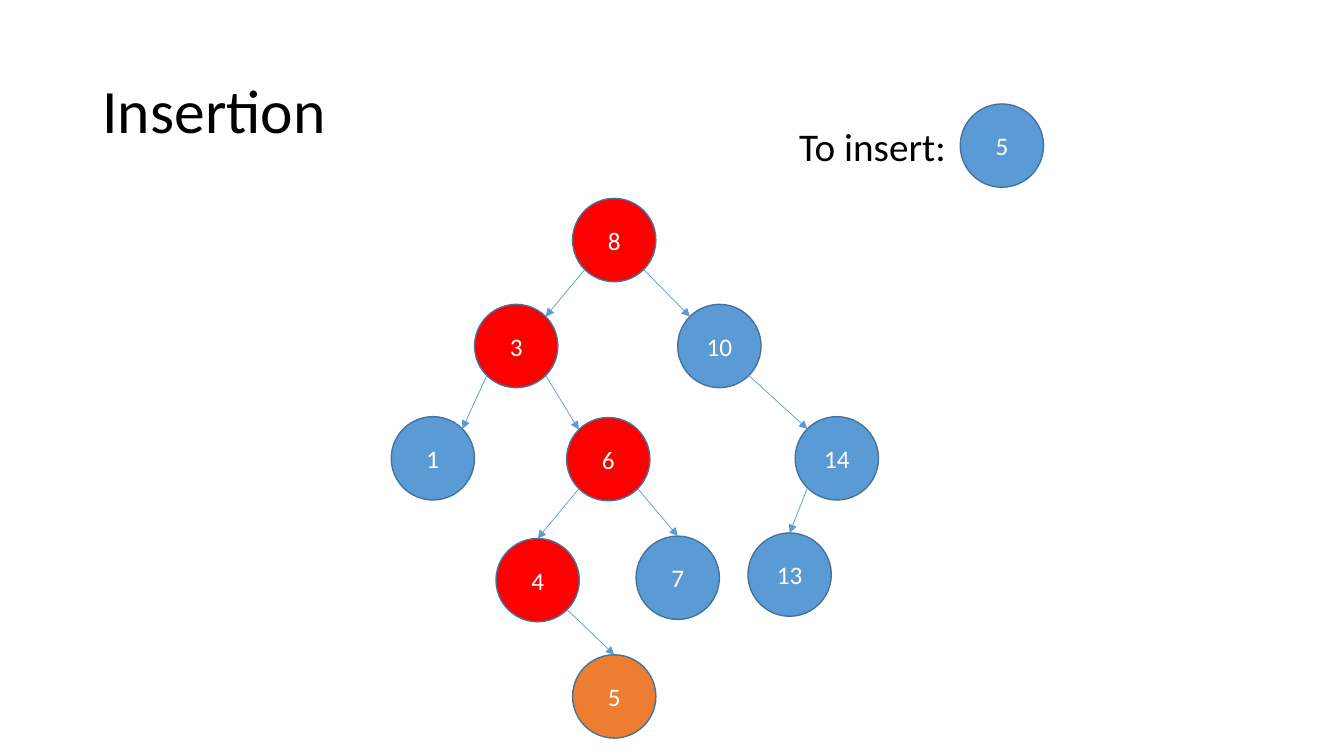
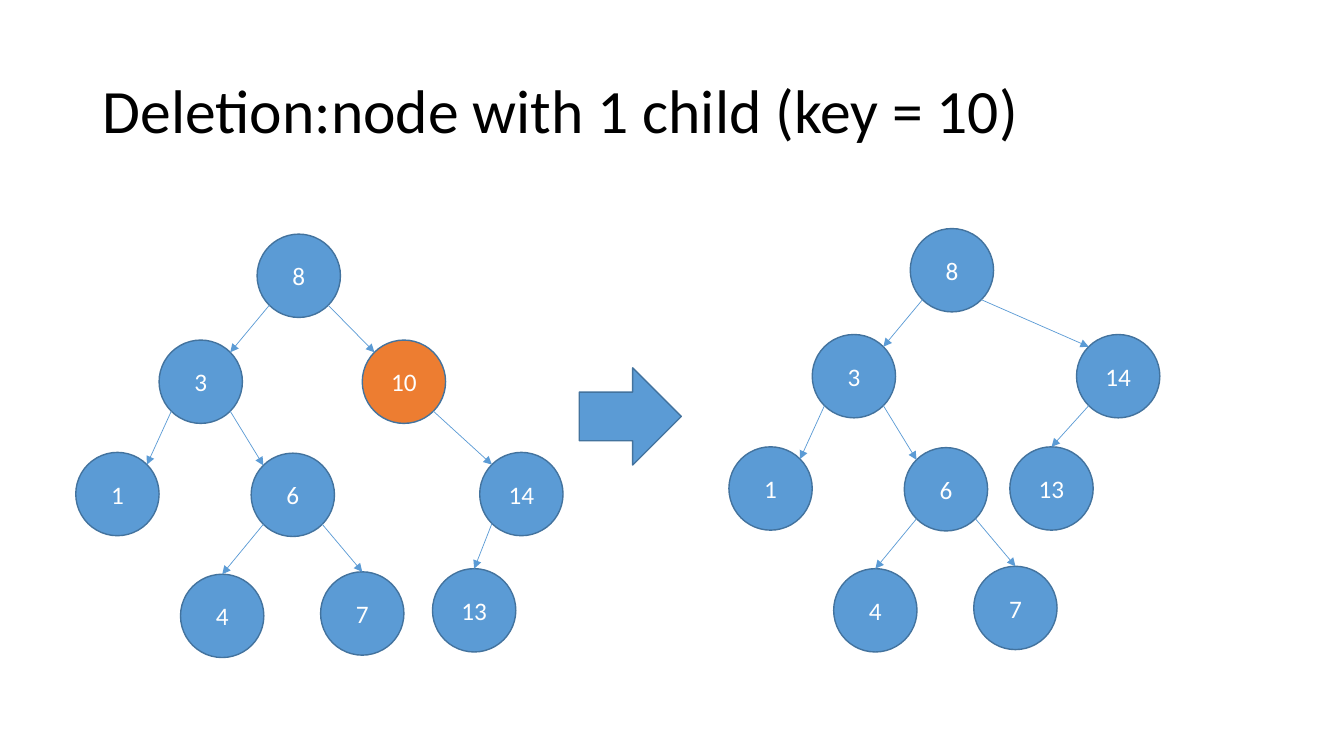
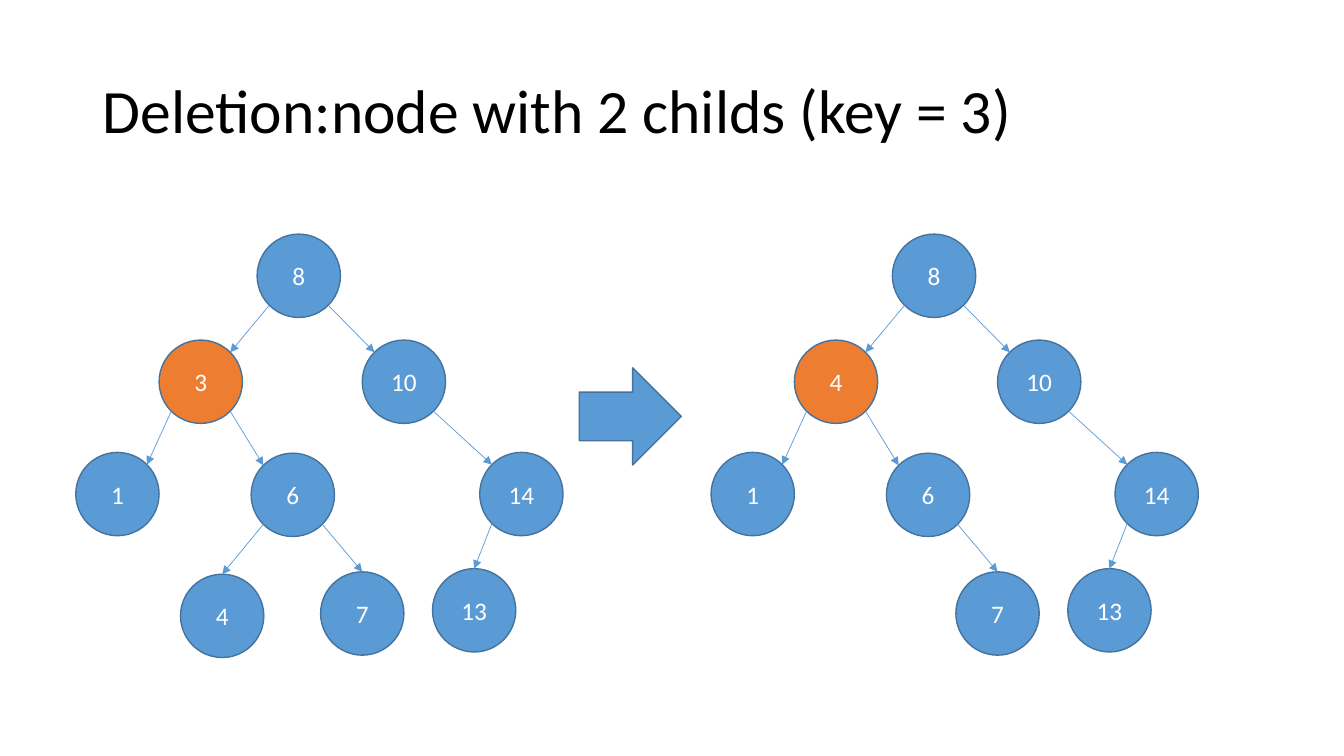
from math import sqrt

from lxml import etree
from pptx import Presentation
from pptx.dml.color import RGBColor
from pptx.enum.shapes import MSO_CONNECTOR, MSO_SHAPE
from pptx.enum.text import MSO_ANCHOR, PP_ALIGN
from pptx.oxml.ns import qn
from pptx.util import Cm, Pt

STRAIGHT = MSO_CONNECTOR.STRAIGHT
OVAL, RIGHT_ARROW = MSO_SHAPE.OVAL, MSO_SHAPE.RIGHT_ARROW
MIDDLE = MSO_ANCHOR.MIDDLE
LEFT, CENTER = PP_ALIGN.LEFT, PP_ALIGN.CENTER

COLORS = {
    "node": "5B9BD5",
    "outline": "43739E",
    "visited": "FF0000",
    "target": "ED7D31",
    "light": "FFFFFF",
    "dark": "000000",
}
FONT = "Calibri"
DIAMETER = 2.1
NEAR = DIAMETER / 2 * (1 - sqrt(0.5))
FAR = DIAMETER - NEAR

TOP, TOP_LEFT, BOTTOM_LEFT, BOTTOM_RIGHT, TOP_RIGHT = 0, 1, 3, 5, 7
SITES = {
    TOP: (DIAMETER / 2, 0),
    TOP_LEFT: (NEAR, NEAR),
    BOTTOM_LEFT: (NEAR, FAR),
    BOTTOM_RIGHT: (FAR, FAR),
    TOP_RIGHT: (FAR, NEAR),
}

# key: parent, offset from the root, site where the edge arrives
search_tree = {
    8: (None, 0, 0, None),
    10: (8, 2.65, 2.67, TOP_LEFT),
    3: (8, -2.47, 2.67, TOP_RIGHT),
    1: (3, -4.57, 5.5, TOP_RIGHT),
    6: (3, -0.15, 5.52, TOP_LEFT),
    4: (6, -1.93, 8.57, TOP),
    7: (6, 1.6, 8.51, TOP),
    14: (10, 5.61, 5.5, TOP_LEFT),
    13: (14, 4.42, 8.43, TOP),
}
with_five = {**search_tree, 5: (4, 0, 11.5, TOP)}
without_ten = {
    **search_tree,
    14: (8, 4.19, 2.67, TOP_LEFT),
    13: (14, 2.51, 5.5, TOP),
}
del without_ten[10]
without_three = {
    **search_tree,
    4: search_tree[3],
    1: (4, *search_tree[1][1:]),
    6: (4, *search_tree[6][1:]),
}
del without_three[3]

search_path = {8: "visited", 3: "visited", 6: "visited", 4: "visited", 5: "target"}
SLIDES = [
    ("Insertion", [(with_five, 14.43, 5, search_path)]),
    ("Deletion:node with 1 child (key = 10)", [
        (search_tree, 6.48, 5.9, {10: "target"}),
        (without_ten, 22.94, 5.76, {}),
    ]),
    ("Deletion:node with 2 childs (key = 3)", [
        (search_tree, 6.48, 5.9, {3: "target"}),
        (without_three, 22.49, 5.9, {4: "target"}),
    ]),
]


def add_block(slide, preset, left, top, width, height, color="node"):
    block = slide.shapes.add_shape(preset, Cm(left), Cm(top), Cm(width), Cm(height))
    block.shadow.inherit = False
    block.fill.solid()
    block.fill.fore_color.rgb = RGBColor.from_string(COLORS[color])
    block.line.color.rgb = RGBColor.from_string(COLORS["outline"])
    block.line.width = Pt(1)
    return block


def add_text(frame, text, size, color, align):
    paragraph = frame.paragraphs[0]
    paragraph.alignment = align
    run = paragraph.add_run()
    run.text = text
    run.font.name = FONT
    run.font.size = Pt(size)
    run.font.color.rgb = RGBColor.from_string(COLORS[color])


prs = Presentation()
prs.slide_width, prs.slide_height = Cm(33.87), Cm(19.05)
title_layout = prs.slide_layouts[5]
layout_title = title_layout.placeholders[0]
layout_title.left, layout_title.top = Cm(2.33), Cm(1.01)
layout_title.width, layout_title.height = Cm(29.21), Cm(3.68)

for heading, trees in SLIDES:
    slide = prs.slides.add_slide(title_layout)
    title_frame = slide.shapes.title.text_frame
    title_frame.vertical_anchor = MIDDLE
    add_text(title_frame, heading, 44, "dark", LEFT)
    title_frame.paragraphs[0].line_spacing = 0.9

    for tree, root_left, root_top, highlights in trees:
        nodes = {}
        for key, (parent, dx, dy, entry) in tree.items():
            node = add_block(slide, OVAL, root_left + dx, root_top + dy,
                             DIAMETER, DIAMETER, highlights.get(key, "node"))
            node.text_frame.vertical_anchor = MIDDLE
            add_text(node.text_frame, str(key), 18, "light", CENTER)
            nodes[key] = node

        for key, (parent, dx, dy, entry) in tree.items():
            if parent is None:
                continue
            departure = BOTTOM_LEFT if dx < tree[parent][1] else BOTTOM_RIGHT
            ends = [("a:stCxn", nodes[parent], departure), ("a:endCxn", nodes[key], entry)]
            points = []
            for tag, node, site in ends:
                site_x, site_y = SITES[site]
                points += [node.left + Cm(site_x), node.top + Cm(site_y)]
            edge = slide.shapes.add_connector(STRAIGHT, *points)
            edge.line.color.rgb = RGBColor.from_string(COLORS["node"])
            edge.line.width = Pt(0.5)
            etree.SubElement(edge.line._get_or_add_ln(), qn("a:tailEnd"), type="triangle")
            etree.SubElement(edge._element.spPr, qn("a:effectLst"))
            glue = edge._element.find(".//" + qn("p:cNvCxnSpPr"))
            for tag, node, site in ends:
                etree.SubElement(glue, qn(tag), id=str(node.shape_id), idx=str(site))

    if len(trees) == 2:
        add_block(slide, RIGHT_ARROW, 14.6, 9.27, 2.57, 2.45)
    else:
        new_key = add_block(slide, OVAL, 24.2, 2.62, DIAMETER, DIAMETER)
        new_key.text_frame.vertical_anchor = MIDDLE
        add_text(new_key.text_frame, "5", 18, "light", CENTER)
        insert_label = slide.shapes.add_textbox(Cm(19.89), Cm(2.95), Cm(4.24), Cm(1.45))
        insert_label.text_frame.word_wrap = False
        add_text(insert_label.text_frame, "To insert:", 28, "dark", LEFT)

prs.save("out.pptx")
